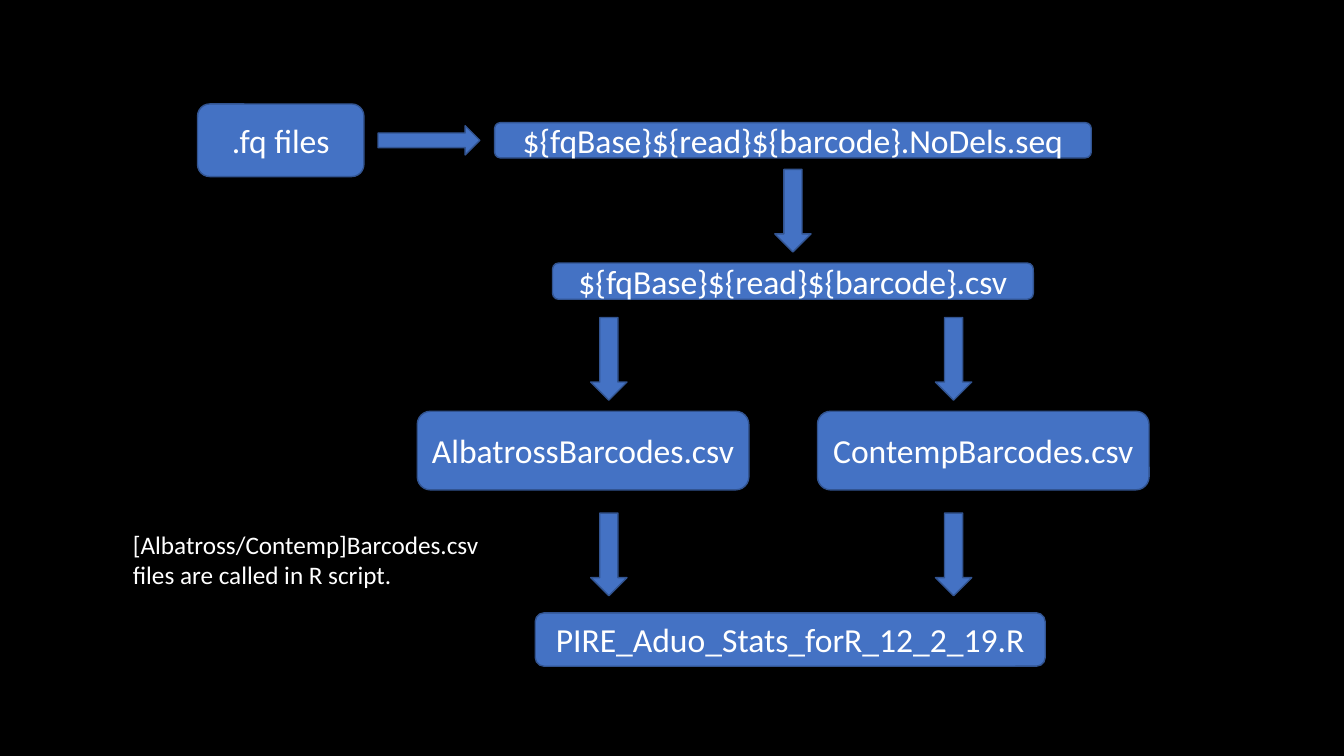
from pptx import Presentation
from pptx.dml.color import RGBColor
from pptx.enum.shapes import MSO_SHAPE as Shape
from pptx.enum.text import MSO_ANCHOR as Anchor, MSO_AUTO_SIZE as AutoSize, PP_ALIGN as Align
from pptx.util import Inches, Pt

COLORS = {"background": "000000", "fill": "4472C4", "outline": "325491", "text": "FFFFFF"}

# Grid of 160 columns by 90 rows
WIDTH, HEIGHT = Inches(13.333), Inches(7.5)
COLUMN, ROW = WIDTH / 160, HEIGHT / 90

# Centre lines of the flow
SPINE = 94.4
BRANCHES = (72.48, 113.52)
INPUT_ROW = 16.7

# Each step: text, centre column, centre row, columns wide, rows high
STEPS = [
    (".fq files", 33.42, INPUT_ROW, 19.8, 8.64),
    ("${fqBase}${read}${barcode}.NoDels.seq", SPINE, INPUT_ROW, 71.04, 4.2),
    ("${fqBase}${read}${barcode}.csv", SPINE, 33.48, 57.24, 4.32),
    ("AlbatrossBarcodes.csv", 69.42, 53.64, 39.48, 9.36),
    ("ContempBarcodes.csv", 117.06, 53.64, 39.48, 9.36),
    ("PIRE_Aduo_Stats_forR_12_2_19.R", 94.08, 76.14, 60.72, 6.36),
]


def color(name):
    return RGBColor.from_string(COLORS[name])


def place(center_column, center_row, columns, rows):
    """Turn a centre and a size on the grid into left, top, width, height."""
    return (
        round((center_column - columns / 2) * COLUMN),
        round((center_row - rows / 2) * ROW),
        round(columns * COLUMN),
        round(rows * ROW),
    )


def write(shape, text, size, alignment):
    paragraph = shape.text_frame.paragraphs[0]
    paragraph.alignment = alignment
    run = paragraph.add_run()
    run.text = text
    for name, value in {"name": "Calibri", "size": Pt(size)}.items():
        setattr(run.font, name, value)
    run.font.color.rgb = color("text")


def add_block(slide, kind, center_column, center_row, columns, rows):
    shape = slide.shapes.add_shape(kind, *place(center_column, center_row, columns, rows))
    shape.shadow.inherit = False
    shape.fill.solid()
    shape.fill.fore_color.rgb = color("fill")
    shape.line.color.rgb = color("outline")
    shape.line.width = Pt(1)
    return shape


def add_step(slide, text, *box):
    shape = add_block(slide, Shape.ROUNDED_RECTANGLE, *box)
    shape.text_frame.word_wrap = True
    shape.text_frame.vertical_anchor = Anchor.MIDDLE
    write(shape, text, 24, Align.CENTER)


def add_down_arrow(slide, center_column, center_row):
    arrow = add_block(slide, Shape.RIGHT_ARROW, center_column, center_row, 9.84, 4.32)
    arrow.rotation = 90


def add_note(slide, text, *box):
    note = slide.shapes.add_textbox(*place(*box))
    for name, value in {"word_wrap": True, "auto_size": AutoSize.SHAPE_TO_FIT_TEXT}.items():
        setattr(note.text_frame, name, value)
    write(note, text, 18, Align.LEFT)


def main():
    presentation = Presentation()
    presentation.slide_width, presentation.slide_height = WIDTH, HEIGHT
    slide = presentation.slides.add_slide(presentation.slide_layouts[6])
    slide.background.fill.solid()
    slide.background.fill.fore_color.rgb = color("background")

    # Files and script
    for step in STEPS:
        add_step(slide, *step)

    # Arrows between the steps
    add_block(slide, Shape.RIGHT_ARROW, 51.06, INPUT_ROW, 12.12, 3.48)
    add_down_arrow(slide, SPINE, 25.08)
    for branch in BRANCHES:
        for row in (42.72, 66):
            add_down_arrow(slide, branch, row)

    # Note on the R script
    add_note(slide, "[Albatross/Contemp]Barcodes.csv files are called in R script.",
             37.74, 66.66, 46.2, 8.52)

    presentation.save("out.pptx")


if __name__ == "__main__":
    main()
